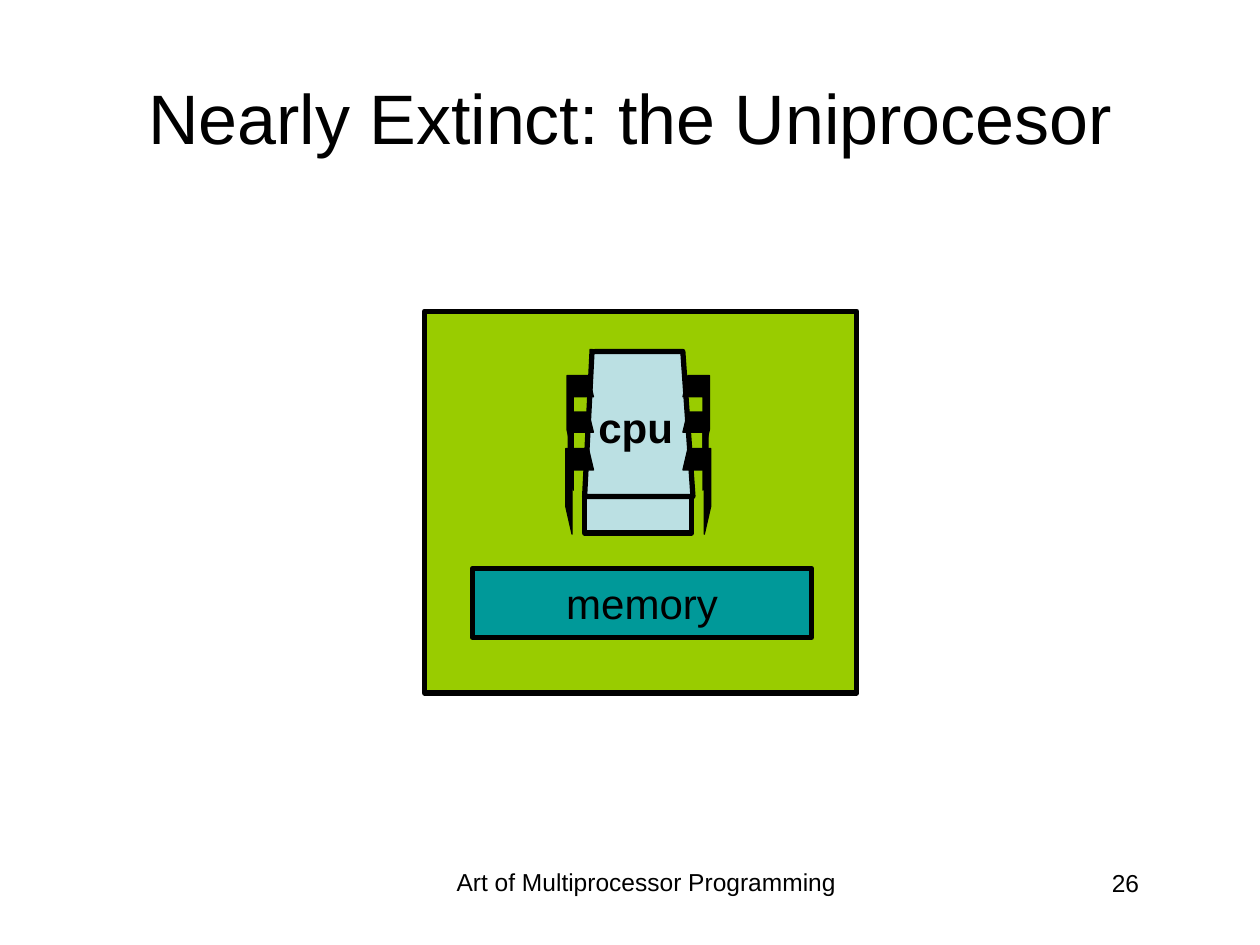
"""Build the uniprocessor slide: a board holding a CPU chip and its memory."""
from pptx import Presentation
from pptx.dml.color import RGBColor
from pptx.enum import shapes, text
from pptx.util import Inches, Pt

THEME = {
    "font": "Arial", "ink": "000000", "board": "99CC00", "chip": "BBE0E3", "memory": "009999",
    "title": 40, "label": 24, "footer": 14, "outline": 3, "hairline": 0.75,
}
ALIGN, ANCHOR = text.PP_ALIGN, text.MSO_ANCHOR

CAPTIONS = [
    ("Art of Multiprocessor Programming", (3.42, 6.83, 3.42, 0.52), "footer", {}),
    ("26", (7.06, 6.84, 2.08, 0.5), "footer", {"align": ALIGN.RIGHT}),
    ("Nearly Extinct: the Uniprocesor", (0.5, 0.3, 9, 1.25), "title", {"anchor": ANCHOR.MIDDLE}),
]
CPU = ("cpu", (4.64, 3.14, 0.8, 0.51), "label",
       {"align": ALIGN.RIGHT, "wrap": False, "bold": True, "fit": text.MSO_AUTO_SIZE.SHAPE_TO_FIT_TEXT})
BOARD = (3.37, 2.47, 3.43, 3.03)
MEMORY = (3.75, 4.51, 2.69, 0.55)
CHIP_FRONT = (4.64, 3.94, 0.85, 0.29)
CHIP_TOP = [(4.72, 2.79), (5.42, 2.79), (5.5, 3.94), (4.64, 3.94), (4.7, 2.77)]

MIRROR_SUM = 10.13
PIN_ROOT, PIN_INNER = 5.46, 5.42
PINS = [
    {"top": 3.56, "outer": 5.64, "shin": 5.59, "notch": 0.17, "knee": 0.46, "tip": 0.68},
    {"top": 3.27, "outer": 5.62, "shin": 5.58, "notch": 0.16, "knee": 0.42, "tip": 0.62},
    {"top": 2.98, "outer": 5.63, "shin": 5.58, "notch": 0.17, "knee": 0.43, "tip": 0.64},
]


def paint(shape, fill, outline):
    shape.shadow.inherit = False
    shape.fill.solid()
    shape.fill.fore_color.rgb = RGBColor.from_string(THEME[fill])
    shape.line.color.rgb = RGBColor.from_string(THEME["ink"])
    shape.line.width = Pt(THEME[outline])


def write(shape, words, size, align=ALIGN.CENTER, anchor=ANCHOR.TOP, wrap=True,
          bold=False, fit=text.MSO_AUTO_SIZE.NONE):
    frame = shape.text_frame
    for name, value in {"word_wrap": wrap, "vertical_anchor": anchor, "auto_size": fit}.items():
        setattr(frame, name, value)
    line = frame.paragraphs[0]
    line.alignment = align
    run = line.add_run()
    run.text = words
    for name, value in {"name": THEME["font"], "size": Pt(THEME[size]), "bold": bold}.items():
        setattr(run.font, name, value)
    run.font.color.rgb = RGBColor.from_string(THEME["ink"])


def caption(canvas, words, place, size, style):
    write(canvas.add_textbox(*map(Inches, place)), words, size, **style)


def block(canvas, place, fill):
    shape = canvas.add_shape(shapes.MSO_SHAPE.RECTANGLE, *map(Inches, place))
    paint(shape, fill, "outline")
    return shape


def outline_shape(canvas, points, fill, outline, close=True):
    start, *rest = [(Inches(x), Inches(y)) for x, y in points]
    builder = canvas.build_freeform(*start)
    builder.add_line_segments(rest, close=close)
    paint(builder.convert_to_shape(), fill, outline)


def pin_points(pin):
    top = pin["top"]
    return [
        (PIN_ROOT, top), (pin["outer"], top), (pin["outer"], top + pin["knee"]),
        (pin["shin"], top + pin["tip"]), (pin["shin"], top + pin["notch"]),
        (PIN_INNER, top + pin["notch"]),
    ]


def mirrored(points):
    return [(MIRROR_SUM - x, y) for x, y in points]


def draw_chip(canvas):
    chip = canvas.add_group_shape().shapes
    block(chip, CHIP_FRONT, "chip")
    outline_shape(chip, CHIP_TOP, "chip", "outline", close=False)
    right_side = [pin_points(pin) for pin in PINS]
    for points in right_side + [mirrored(points) for points in right_side]:
        outline_shape(chip, points, "ink", "hairline")


def main():
    deck = Presentation()
    deck.slide_width, deck.slide_height = Inches(10), Inches(7.5)
    canvas = deck.slides.add_slide(deck.slide_layouts[6]).shapes
    for words in CAPTIONS:
        caption(canvas, *words)
    block(canvas, BOARD, "board")
    draw_chip(canvas)
    write(block(canvas, MEMORY, "memory"), "memory", "label", anchor=ANCHOR.MIDDLE, wrap=False)
    caption(canvas, *CPU)
    deck.save("out.pptx")


if __name__ == "__main__":
    main()
